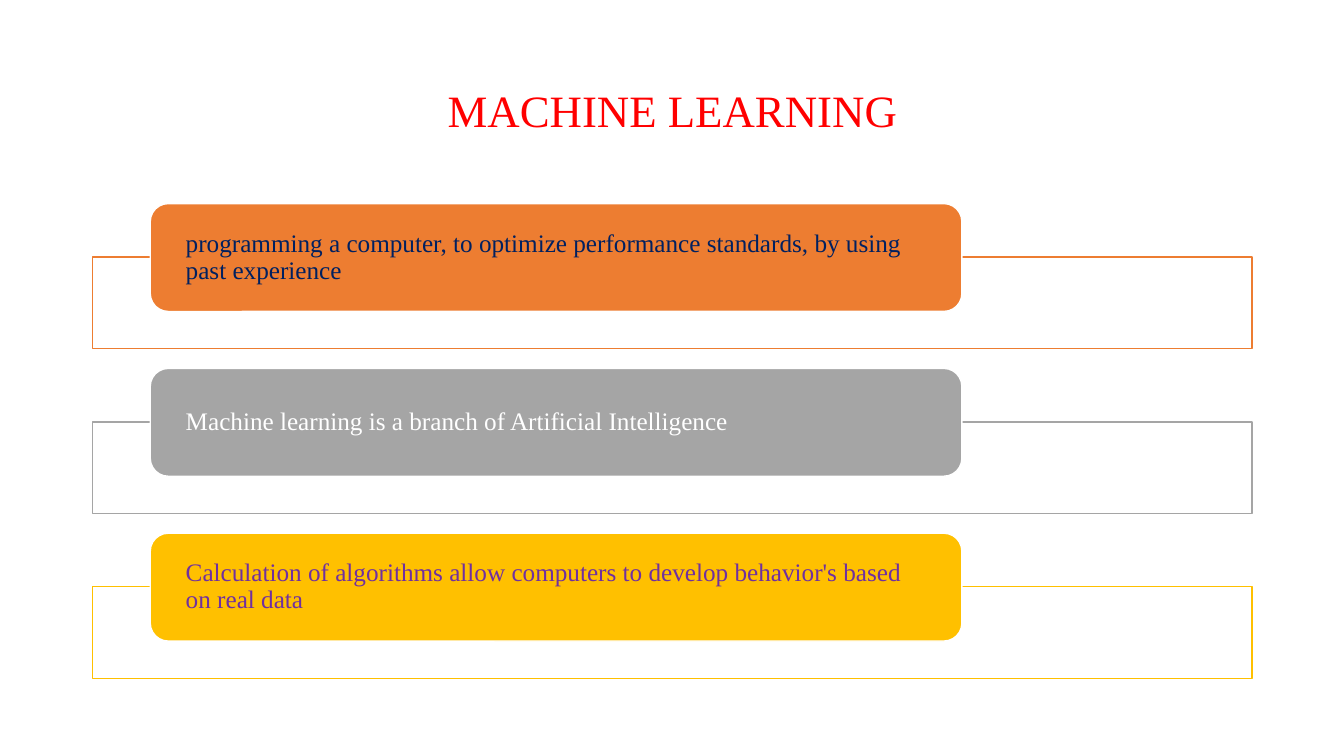
from pptx import Presentation
from pptx.dml.color import RGBColor
from pptx.enum.shapes import MSO_SHAPE
from pptx.enum.text import MSO_ANCHOR, PP_ALIGN
from pptx.util import Inches, Pt

RECTANGLE = MSO_SHAPE.RECTANGLE
ROUNDED = MSO_SHAPE.ROUNDED_RECTANGLE
MIDDLE = MSO_ANCHOR.MIDDLE
LEFT, CENTER = PP_ALIGN.LEFT, PP_ALIGN.CENTER

TITLE = "MACHINE LEARNING"
POINTS = [
    ("programming a computer, to optimize performance standards, by using past experience",
     "orange", "navy"),
    ("Machine learning is a branch of Artificial Intelligence", "gray", "white"),
    ("Calculation of algorithms allow computers to develop behavior's based on real data",
     "gold", "purple"),
]
COLORS = {
    "red": "FF0000",
    "orange": "ED7D31",
    "gray": "A5A5A5",
    "gold": "FFC000",
    "navy": "002060",
    "white": "FFFFFF",
    "purple": "7030A0",
}
FONT = "Times New Roman"
MARGIN, CONTENT_WIDTH = 0.92, 11.5
FIRST_TOP, ROW_PITCH = 2.02, 1.635
LABEL_LEFT, LABEL_WIDTH, LABEL_HEIGHT = 1.49, 8.05, 1.07
FRAME_OFFSET, FRAME_HEIGHT = 0.53, 0.91


def color(name):
    return RGBColor.from_string(COLORS[name])


def add_box(slide, kind, left, top, width, height, fill, line):
    shape = slide.shapes.add_shape(
        kind, Inches(left), Inches(top), Inches(width), Inches(height))
    shape.shadow.inherit = False
    shape.fill.solid()
    shape.fill.fore_color.rgb = color(fill)
    shape.line.color.rgb = color(line)
    shape.line.width = Pt(1)
    return shape


def write(shape, text, size, text_color, alignment, inset):
    frame = shape.text_frame
    frame.word_wrap = True
    frame.vertical_anchor = MIDDLE
    frame.margin_left = frame.margin_right = Inches(inset)
    frame.margin_top = frame.margin_bottom = 0
    frame.text = text
    paragraph = frame.paragraphs[0]
    paragraph.alignment = alignment
    paragraph.line_spacing = 0.9
    font = paragraph.runs[0].font
    font.name = FONT
    font.size = Pt(size)
    font.color.rgb = color(text_color)


def main():
    presentation = Presentation()
    presentation.slide_width = Inches(13.33)
    presentation.slide_height = Inches(7.5)
    slide = presentation.slides.add_slide(presentation.slide_layouts[6])

    title = slide.shapes.add_textbox(
        Inches(MARGIN), Inches(0.4), Inches(CONTENT_WIDTH), Inches(1.45))
    write(title, TITLE, 32, "red", CENTER, 0.1)

    for row, (text, accent, text_color) in enumerate(POINTS):
        top = FIRST_TOP + row * ROW_PITCH
        add_box(slide, RECTANGLE, MARGIN, top + FRAME_OFFSET,
                CONTENT_WIDTH, FRAME_HEIGHT, "white", accent)
        label = add_box(slide, ROUNDED, LABEL_LEFT, top,
                        LABEL_WIDTH, LABEL_HEIGHT, accent, "white")
        write(label, text, 18, text_color, LEFT, 0.3)

    presentation.save("out.pptx")


if __name__ == "__main__":
    main()
